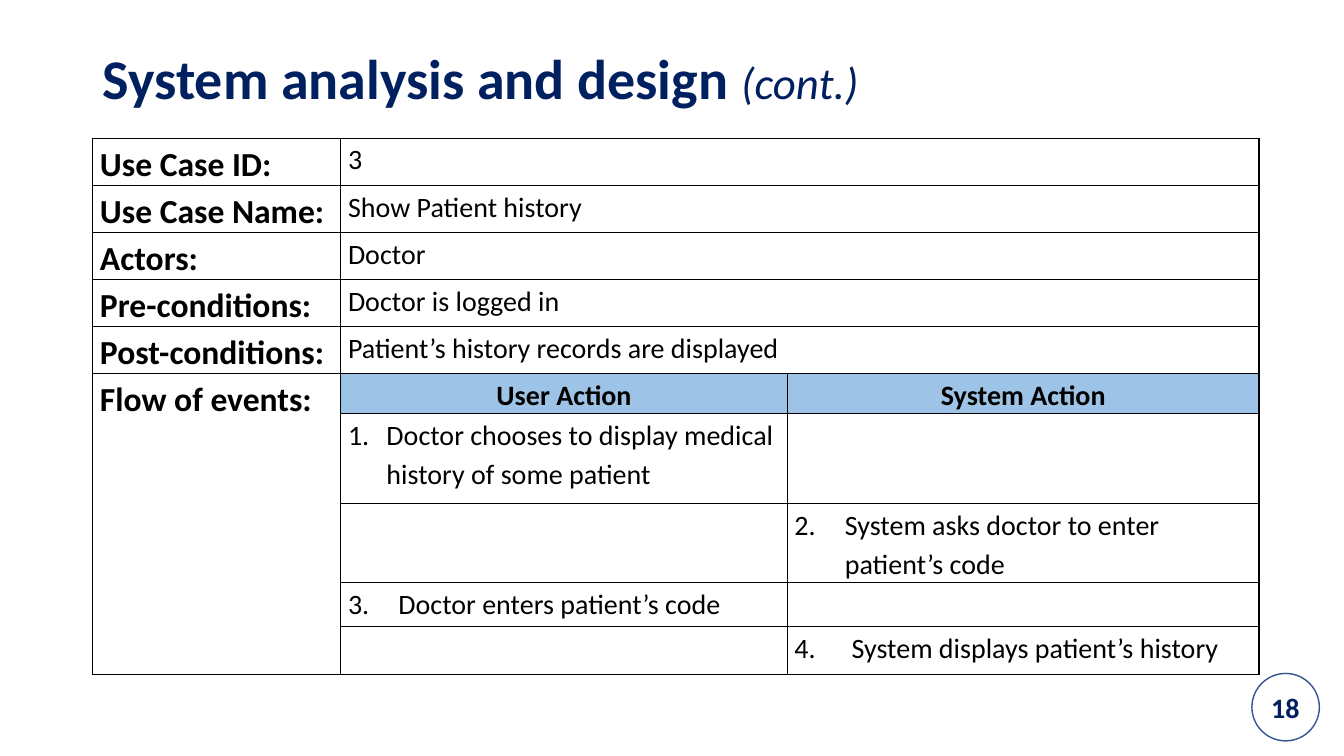
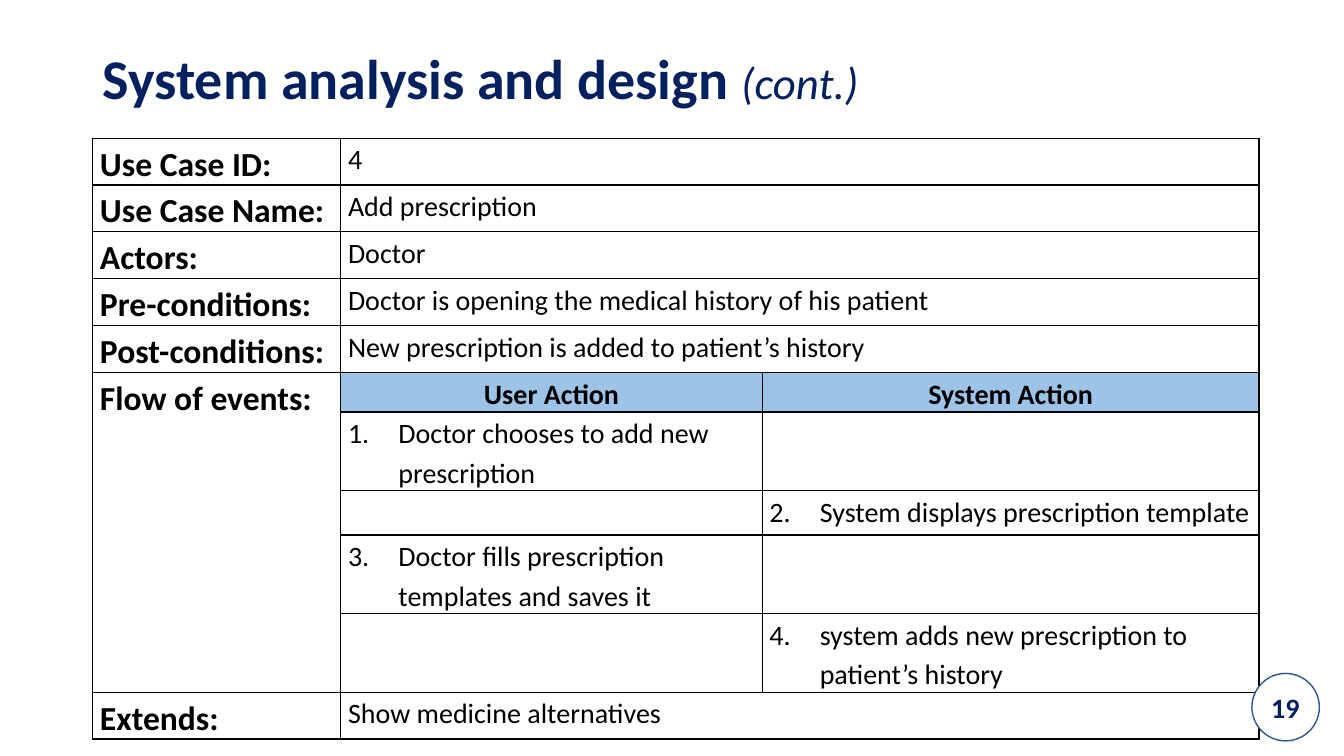
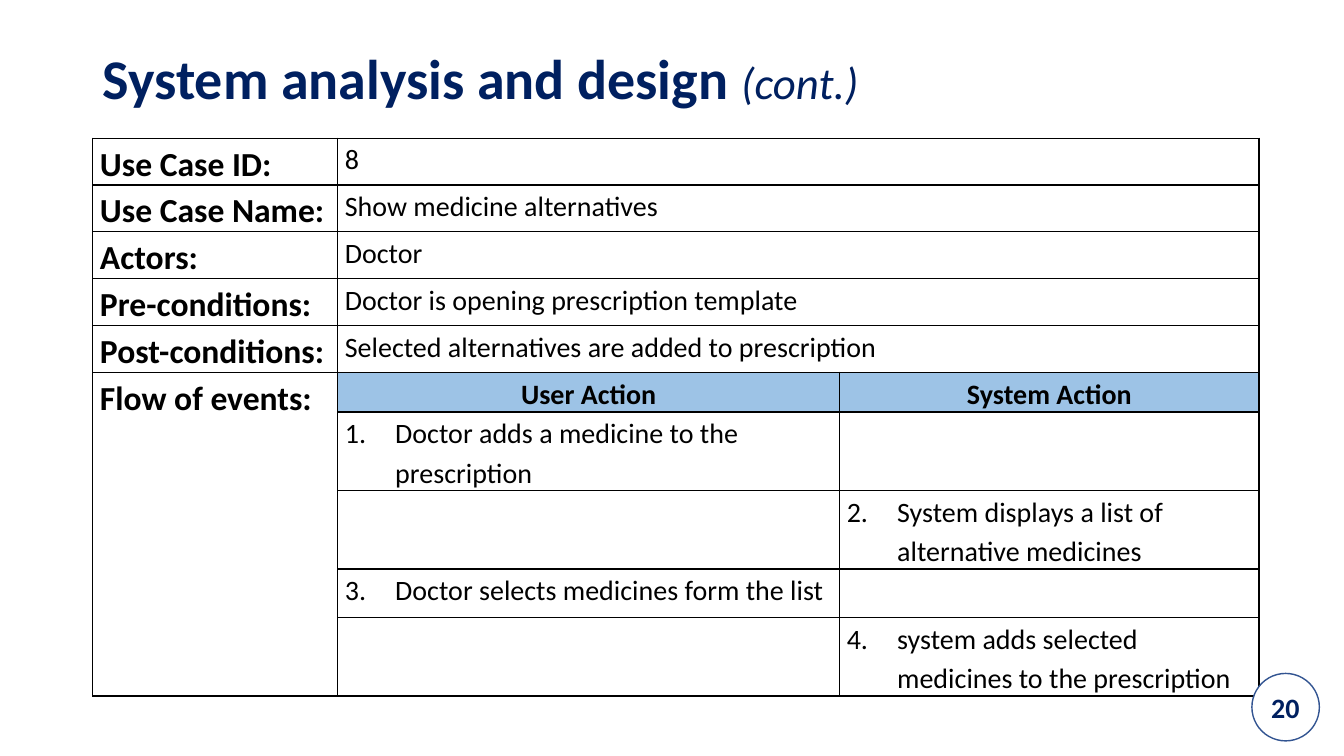
from dataclasses import dataclass
from lxml.etree import SubElement
from pptx import Presentation
from pptx.dml.color import RGBColor
from pptx.enum.shapes import MSO_SHAPE as SHAPE
from pptx.enum.text import MSO_ANCHOR as ANCHOR, PP_ALIGN as ALIGN
from pptx.oxml.ns import qn
from pptx.util import Cm, Pt

TITLE = [("System analysis and design ", "title"), ("(cont.)", "cont")]
FIRST_PAGE = 18
FIELDS = ["Use Case ID:", "Use Case Name:", "Actors:", "Pre-conditions:", "Post-conditions:"]
FLOW = "Flow of events:"
ACTIONS = ["User Action", "System Action"]
ONE_LINE, TWO_LINES, INDENT = 1.12, 1.98, 1.27

USE_CASES = [
    {
        "cols": (6.25, 11.25),
        "values": ["3", "Show Patient history", "Doctor", "Doctor is logged in",
                   "Patient’s history records are displayed"],
        "steps": [
            ("Doctor chooses to display medical history of some patient", 2.27, 0.97),
            ("System asks doctor to enter patient’s code", TWO_LINES, INDENT),
            ("Doctor enters patient’s code", ONE_LINE, INDENT),
            ("System displays patient’s history", 1.19, 1.44),
        ],
        "extras": [],
    },
    {
        "cols": (6.25, 10.62),
        "values": ["4", "Add prescription", "Doctor",
                   "Doctor is opening the medical history of his patient",
                   "New prescription is added to patient’s history"],
        "steps": [
            ("Doctor chooses to add new prescription", TWO_LINES, INDENT),
            ("System displays prescription template", ONE_LINE, INDENT),
            ("Doctor fills prescription templates and saves it", TWO_LINES, INDENT),
            ("system adds new prescription to patient’s history", TWO_LINES, INDENT),
        ],
        "extras": [("Extends:", "Show medicine alternatives")],
    },
    {
        "cols": (6.17, 12.65),
        "values": ["8", "Show medicine alternatives", "Doctor",
                   "Doctor is opening prescription template",
                   "Selected alternatives are added to prescription"],
        "steps": [
            ("Doctor adds a medicine to the prescription", TWO_LINES, INDENT),
            ("System displays a list of alternative medicines", TWO_LINES, INDENT),
            ("Doctor selects medicines form the list", 1.22, INDENT),
            ("system adds selected medicines to the prescription", TWO_LINES, INDENT),
        ],
        "extras": [],
    },
]


def rgb(value):
    return RGBColor.from_string(value)


@dataclass(frozen=True)
class Theme:
    navy = rgb("002060")
    black = rgb("000000")
    white = rgb("FFFFFF")
    ring = rgb("325491")
    header = rgb("9DC3E6")
    font = "Calibri"
    styles = {
        "title": {"size": Pt(40), "bold": True, "color": navy},
        "cont": {"size": Pt(32), "italic": True, "color": navy},
        "page": {"size": Pt(20), "bold": True, "color": navy},
        "label": {"size": Pt(24), "bold": True, "color": black},
        "head": {"size": Pt(20), "bold": True, "color": black},
        "body": {"size": Pt(20), "bold": False, "color": black},
    }


LEFT, TOP, WIDTH = 2.34, 3.48, 29.39
FIELD_H, HEAD_H = 1.18, 1.0
CELL_PAD = 0.18


def add_run(p, text, style):
    r = p.add_run()
    r.text = text
    r.font.name = Theme.font
    for name, value in Theme.styles[style].items():
        if name == "color":
            r.font.color.rgb = value
        else:
            setattr(r.font, name, value)


def add_text(s, box, runs, anchor, **para):
    tf = s.shapes.add_textbox(*map(Cm, box)).text_frame
    tf.word_wrap = True
    tf.vertical_anchor = anchor
    p = tf.paragraphs[0]
    for name, value in para.items():
        setattr(p, name, value)
    for text, style in runs:
        add_run(p, text, style)


def write_cell(cell, text, style, align=ALIGN.LEFT, number=None, indent=0):
    cell.margin_left = cell.margin_right = Cm(CELL_PAD)
    cell.margin_top = cell.margin_bottom = 0
    p = cell.text_frame.paragraphs[0]
    for name, value in {"alignment": align, "line_spacing": 1.15, "space_after": Pt(10)}.items():
        setattr(p, name, value)
    if number:
        pPr = p._p.get_or_add_pPr()
        pPr.set("marL", str(Cm(indent)))
        pPr.set("indent", str(-Cm(indent)))
        SubElement(pPr, qn("a:buFont"), typeface="+mj-lt")
        SubElement(pPr, qn("a:buAutoNum"), type="arabicPeriod", startAt=str(number))
    add_run(p, text, style)


def frame_cell(cell):
    tcPr = cell._tc.get_or_add_tcPr()
    for side in ("L", "R", "T", "B"):
        ln = SubElement(tcPr, qn(f"a:ln{side}"), w=str(Pt(1)))
        SubElement(SubElement(ln, qn("a:solidFill")), qn("a:srgbClr"), val=str(Theme.black))
    cell.fill.background()


def add_use_case(s, case):
    fields = list(zip(FIELDS, case["values"]))
    steps, extras = case["steps"], case["extras"]
    heights = ([FIELD_H] * len(fields) + [HEAD_H] + [h for _, h, _ in steps]
               + [FIELD_H] * len(extras))
    widths = [*case["cols"], WIDTH - sum(case["cols"])]
    box = (LEFT, TOP, WIDTH, sum(heights))
    table = s.shapes.add_table(len(heights), len(widths), *map(Cm, box)).table
    table.first_row = table.horz_banding = False
    for col, width in zip(table.columns, widths):
        col.width = Cm(width)
    for row, height in zip(table.rows, heights):
        row.height = Cm(height)
    for cell in table.iter_cells():
        frame_cell(cell)

    flow = len(fields)
    last_step = flow + len(steps)
    for row, (label, value) in [*enumerate(fields), *enumerate(extras, last_step + 1)]:
        table.cell(row, 1).merge(table.cell(row, 2))
        write_cell(table.cell(row, 0), label, "label")
        write_cell(table.cell(row, 1), value, "body")

    table.cell(flow, 0).merge(table.cell(last_step, 0))
    write_cell(table.cell(flow, 0), FLOW, "label")
    for col, action in enumerate(ACTIONS, 1):
        cell = table.cell(flow, col)
        cell.fill.solid()
        cell.fill.fore_color.rgb = Theme.header
        write_cell(cell, action, "head", ALIGN.CENTER)
    for i, (text, _, indent) in enumerate(steps):
        cell = table.cell(flow + 1 + i, 1 + i % 2)
        write_cell(cell, text, "body", number=i + 1, indent=indent)


def add_page_number(s, page):
    sp = s.shapes.add_shape(SHAPE.OVAL, *map(Cm, (31.55, 16.97, 1.7, 1.7)))
    sp.shadow.inherit = False
    sp.fill.solid()
    sp.fill.fore_color.rgb = Theme.white
    sp.line.color.rgb = Theme.ring
    sp.line.width = Pt(1)
    add_text(s, (31.72, 17.32, 1.35, 1.02), [(str(page), "page")], ANCHOR.MIDDLE,
             alignment=ALIGN.CENTER)


def main():
    prs = Presentation()
    prs.slide_width, prs.slide_height = Cm(33.87), Cm(19.05)
    for page, case in enumerate(USE_CASES, FIRST_PAGE):
        s = prs.slides.add_slide(prs.slide_layouts[6])
        add_use_case(s, case)
        add_page_number(s, page)
        add_text(s, (LEFT, 1.09, 27.3, 1.85), TITLE, ANCHOR.BOTTOM, line_spacing=0.9)
    prs.save("out.pptx")


if __name__ == "__main__":
    main()
